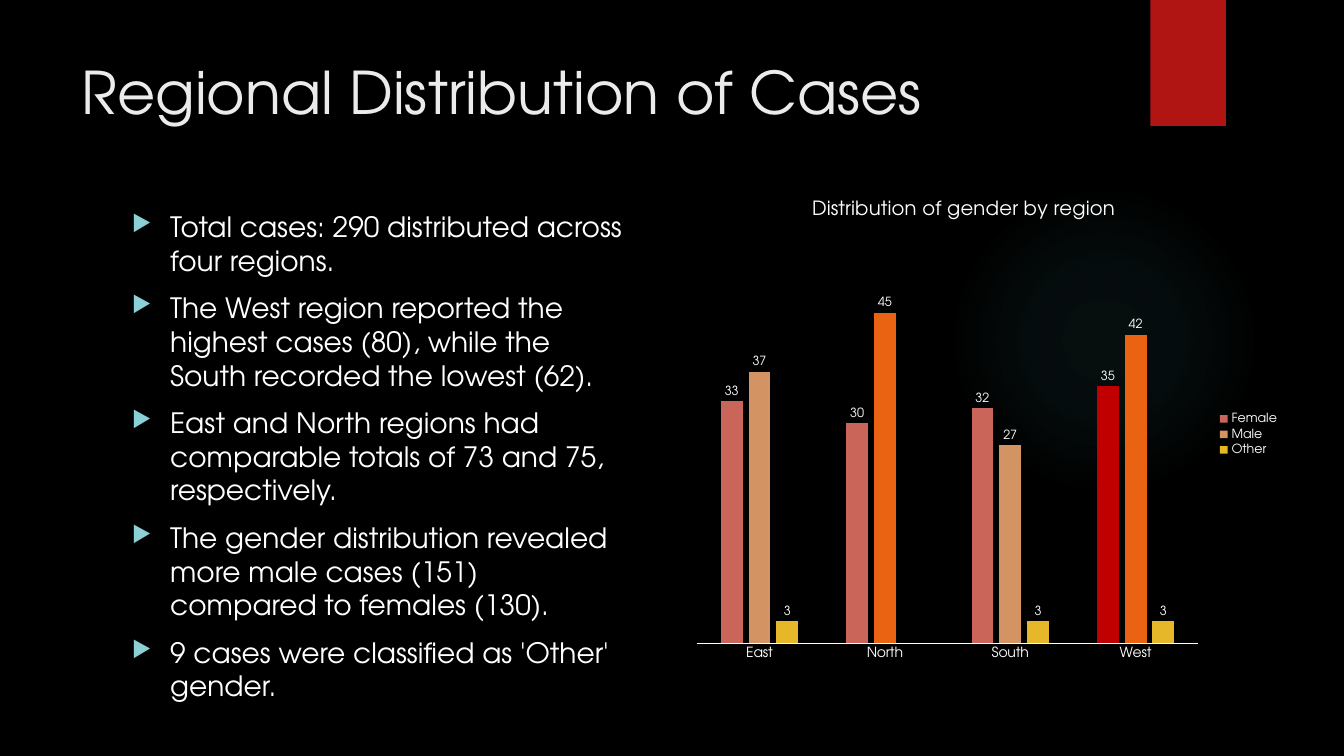
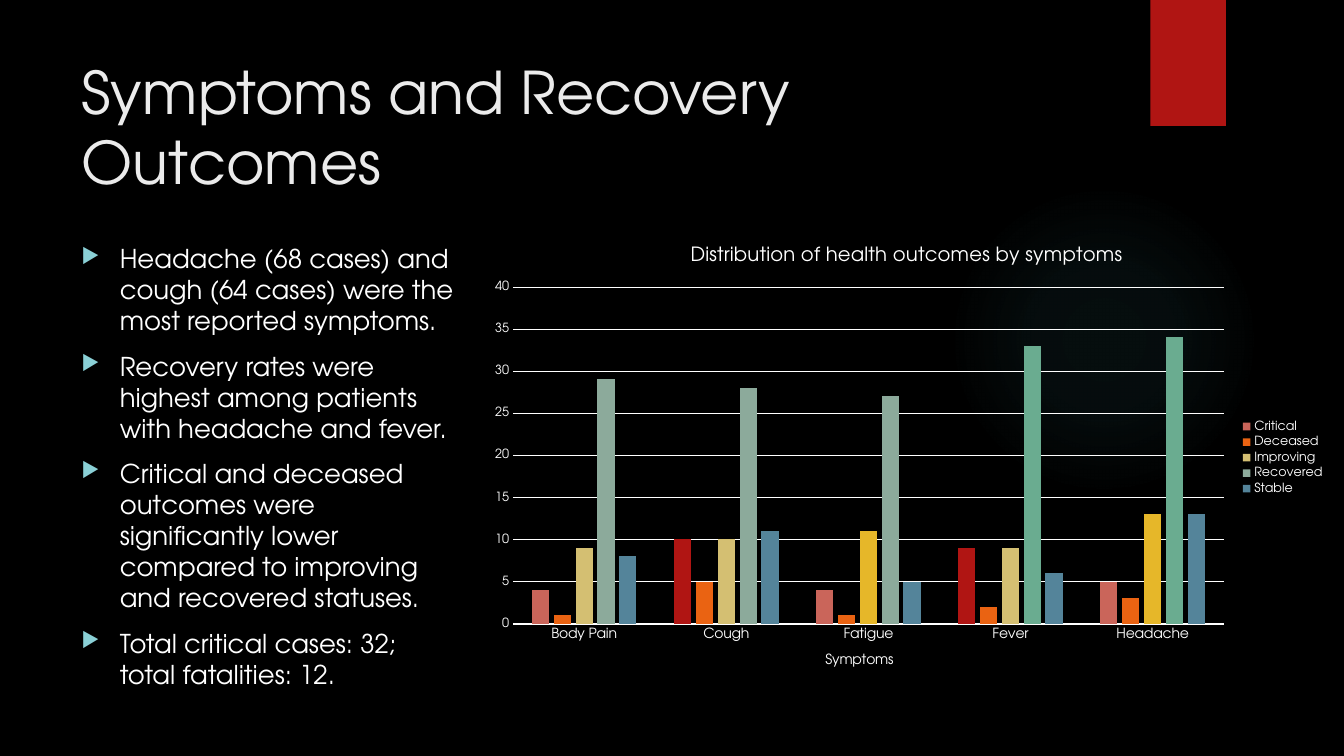
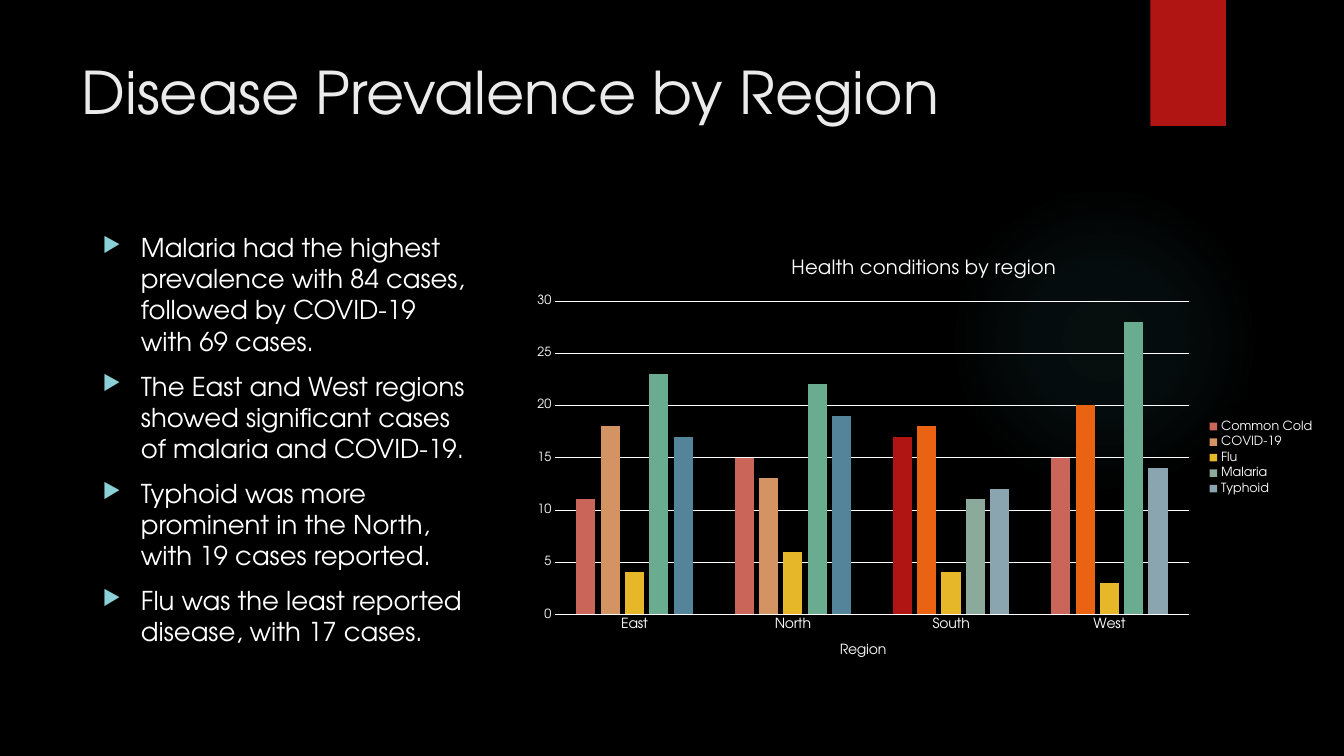
from lxml import etree
from pptx import Presentation
from pptx import util as u
from pptx.chart import data as chart_data
from pptx.dml.color import RGBColor
from pptx.enum import chart as ch, dml, shapes
from pptx.oxml import parse_xml
from pptx.oxml.ns import qn

COLORS = {
    "black": "000000", "white": "FFFFFF", "title": "EBEBEB",
    "red": "B01513", "bullet": "8AD0D6", "glow": "50B9C1",
    "deep red": "C00000", "rose": "CA655A", "orange": "EA6312",
    "tan": "D49362", "gold": "E6B729", "sand": "D4BF72",
    "sage": "8CAA9B", "green": "6AAC90",
    "blue": "54849A", "mist": "8AA5B0",
}
FONT = "TeX Gyre Adventor"
DRAWING_NS = "http://schemas.openxmlformats.org/drawingml/2006/main"


def rgb(color):
    return RGBColor.from_string(COLORS[color])


class Deck:
    def __init__(self):
        self.prs = Presentation()
        self.prs.slide_width = u.Inches(13.33)
        self.prs.slide_height = u.Inches(7.5)
        self.slide = None

    def style(self, font, size, color="white"):
        font.name, font.size, font.bold = FONT, u.Pt(size), False
        font.color.rgb = rgb(color)

    # Shared backdrop and title
    def new_slide(self, title):
        self.slide = self.prs.slides.add_slide(self.prs.slide_layouts[6])
        background = self.slide.background.fill
        background.solid()
        background.fore_color.rgb = rgb("black")
        self.glow()
        band = self.shape(shapes.MSO_SHAPE.RECTANGLE, 11.41, 0, 0.75, 1.25)
        band.fill.solid()
        band.fill.fore_color.rgb = rgb("red")
        self.text([title], 0.71, 0.5, 10.29, 1.53, 42, "title")

    def shape(self, preset, *box):
        shape = self.slide.shapes.add_shape(preset, *map(u.Inches, box))
        shape.shadow.inherit = False
        shape.line.fill.background()
        return shape

    def glow(self):
        circle = self.shape(shapes.MSO_SHAPE.OVAL, 9.41, 1.83, 3.08, 3.08)
        stops = "".join(
            f'<a:gs pos="{pos * 1000}"><a:srgbClr val="{COLORS["glow"]}">'
            f'<a:alpha val="{alpha * 1000}"/></a:srgbClr></a:gs>'
            for pos, alpha in ((0, 7), (36, 6), (69, 0), (100, 0)))
        gradient = parse_xml(
            f'<a:gradFill xmlns:a="{DRAWING_NS}"><a:gsLst>{stops}</a:gsLst>'
            '<a:path path="circle"><a:fillToRect l="50000" t="50000" '
            'r="50000" b="50000"/></a:path></a:gradFill>')
        circle._element.spPr.find(qn("a:prstGeom")).addnext(gradient)

    # Text
    def text(self, lines, left, top, width, height, size, color="white"):
        box = map(u.Inches, (left, top, width, height))
        frame = self.slide.shapes.add_textbox(*box).text_frame
        frame.word_wrap = True
        frame.text = "\n".join(lines)
        for paragraph in frame.paragraphs:
            for run in paragraph.runs:
                self.style(run.font, size, color)
        return frame.paragraphs

    def bullets(self, lines, *box, size=18.5):
        for paragraph in self.text(lines, *box, size):
            paragraph.space_before = u.Pt(10)
            props = paragraph._p.get_or_add_pPr()
            props.set("marL", str(u.Inches(0.38)))
            props.set("indent", str(-u.Inches(0.38)))
            tint = etree.SubElement(props, qn("a:buClr"))
            etree.SubElement(tint, qn("a:srgbClr"), val=COLORS["bullet"])
            etree.SubElement(props, qn("a:buSzPct"), val="80000")
            etree.SubElement(props, qn("a:buChar"), char="▶")

    # Charts
    def columns(self, title, categories, series, box, plot_area, top_value,
                axis_title=None):
        """Each series is (name, values, color, {point: color})."""
        source = chart_data.CategoryChartData()
        source.categories = categories
        for name, values, *_ in series:
            source.add_series(name, values)
        chart = self.slide.shapes.add_chart(
            ch.XL_CHART_TYPE.COLUMN_CLUSTERED, *map(u.Inches, box),
            source).chart
        self.style(chart.font, 10)
        self.heading(chart, title, 14)
        chart.has_legend = True
        chart.legend.position = ch.XL_LEGEND_POSITION.RIGHT
        chart.legend.include_in_layout = False
        self.style(chart.legend.font, 9)
        self.place_plot(chart, plot_area)

        plot = chart.plots[0]
        plot.gap_width, plot.overlap = 219, -27
        plot.vary_by_categories = False
        for drawn, (_, _, color, highlights) in zip(plot.series, series):
            self.paint(drawn, color)
            for index, highlight in highlights.items():
                self.paint(drawn.points[index], highlight)

        axis = chart.category_axis
        axis.major_tick_mark = ch.XL_TICK_MARK.NONE
        axis.format.line.color.rgb = rgb("white")
        axis.format.line.width = u.Pt(0.75)
        self.style(axis.tick_labels.font, 10)
        if axis_title:
            self.heading(axis, axis_title, 10)
        self.value_axis(chart.value_axis, top_value)
        return chart

    def heading(self, owner, words, size):
        owner.has_title = True
        frame = (owner.chart_title if hasattr(owner, "chart_title")
                 else owner.axis_title).text_frame
        frame.text = words
        self.style(frame.paragraphs[0].runs[0].font, size)

    def paint(self, item, color):
        item.format.fill.solid()
        item.format.fill.fore_color.rgb = rgb(color)

    def value_axis(self, axis, top_value):
        axis.minimum_scale, axis.maximum_scale = 0, top_value
        axis.major_unit = 5
        axis.major_tick_mark = ch.XL_TICK_MARK.NONE
        axis.format.line.fill.background()
        self.style(axis.tick_labels.font, 9)
        grid = axis.major_gridlines.format.line
        grid.color.rgb = rgb("white")
        grid.width = u.Pt(0.25)
        grid.dash_style = dml.MSO_LINE.ROUND_DOT

    def place_plot(self, chart, fractions):
        area = chart.element.find(qn("c:chart")).find(qn("c:plotArea"))
        for old in area.findall(qn("c:layout")):
            area.remove(old)
        layout = etree.Element(qn("c:layout"))
        manual = etree.SubElement(layout, qn("c:manualLayout"))
        settings = [("layoutTarget", "inner"), ("xMode", "edge"),
                    ("yMode", "edge"), *zip("xywh", fractions)]
        for tag, value in settings:
            etree.SubElement(manual, qn(f"c:{tag}"), val=str(value))
        area.insert(0, layout)

    def label_columns(self, chart):
        chart.value_axis.has_major_gridlines = False
        chart.value_axis.visible = False
        for series in chart.plots[0].series:
            labels = series.data_labels
            labels.show_value = True
            labels.position = ch.XL_LABEL_POSITION.OUTSIDE_END
            self.style(labels.font, 9)


def main():
    deck = Deck()
    regions = ["East", "North", "South", "West"]

    # Regional distribution
    deck.new_slide("Regional Distribution of Cases")
    deck.bullets([
        "Total cases: 290 distributed across four regions.",
        "The West region reported the highest cases (80), while the South "
        "recorded the lowest (62).",
        "East and North regions had comparable totals of 73 and 75, "
        "respectively.",
        "The gender distribution revealed more male cases (151) "
        "compared to females (130).",
        "9 cases were classified as 'Other' gender.",
    ], 1.21, 2.03, 5.13, 4.81, size=20)
    gender = deck.columns("Distribution of gender by region", regions, [
        ("Female", [33, 30, 32, 35], "rose", {3: "deep red"}),
        ("Male", [37, 45, 27, 42], "tan", {1: "orange", 3: "orange"}),
        ("Other", [3, None, 3, 3], "gold", {}),
    ], (6.33, 1.78, 6.46, 5.06), (0.09, 0.19, 0.77, 0.72), 50)
    deck.label_columns(gender)

    # Symptoms and outcomes
    deck.new_slide("Symptoms and Recovery Outcomes")
    deck.bullets([
        "Headache (68 cases) and cough (64 cases) were the most reported "
        "symptoms.",
        "Recovery rates were highest among patients with headache and fever.",
        "Critical and deceased outcomes were significantly lower compared to "
        "improving and recovered statuses.",
        "Total critical cases: 32; total fatalities: 12.",
    ], 0.71, 2.36, 3.89, 4.58)
    symptoms = ["Body Pain", "Cough", "Fatigue", "Fever", "Headache"]
    deck.columns("Distribution of health outcomes by symptoms", symptoms, [
        ("Critical", [4, 10, 4, 9, 5], "rose", {1: "red", 3: "red"}),
        ("Deceased", [1, 5, 1, 2, 3], "orange", {}),
        ("Improving", [9, 10, 11, 9, 13], "sand", {2: "gold", 4: "gold"}),
        ("Recovered", [29, 28, 27, 33, 34], "sage",
         {3: "green", 4: "green"}),
        ("Stable", [8, 11, 5, 6, 13], "blue", {}),
    ], (4.75, 2.25, 8.49, 4.58), (0.04, 0.13, 0.83, 0.73), 40, "Symptoms")

    # Disease prevalence
    deck.new_slide("Disease Prevalence by Region")
    deck.bullets([
        "Malaria had the highest prevalence with 84 cases, followed by "
        "COVID-19 with 69 cases.",
        "The East and West regions showed significant cases of malaria and "
        "COVID-19.",
        "Typhoid was more prominent in the North, with 19 cases reported.",
        "Flu was the least reported disease, with 17 cases.",
    ], 0.92, 2.25, 3.79, 4.59)
    deck.columns("Health conditions by region", regions, [
        ("Common Cold", [11, 15, 17, 15], "rose", {2: "red"}),
        ("COVID-19", [18, 13, 18, 20], "tan", {2: "orange", 3: "orange"}),
        ("Flu", [4, 6, 4, 3], "gold", {}),
        ("Malaria", [23, 22, 11, 28], "sage",
         {0: "green", 1: "green", 3: "green"}),
        ("Typhoid", [17, 19, 12, 14], "mist", {0: "blue", 1: "blue"}),
    ], (5.19, 2.38, 7.95, 4.32), (0.04, 0.14, 0.79, 0.72), 30, "Region")

    deck.prs.save("out.pptx")


if __name__ == "__main__":
    main()
